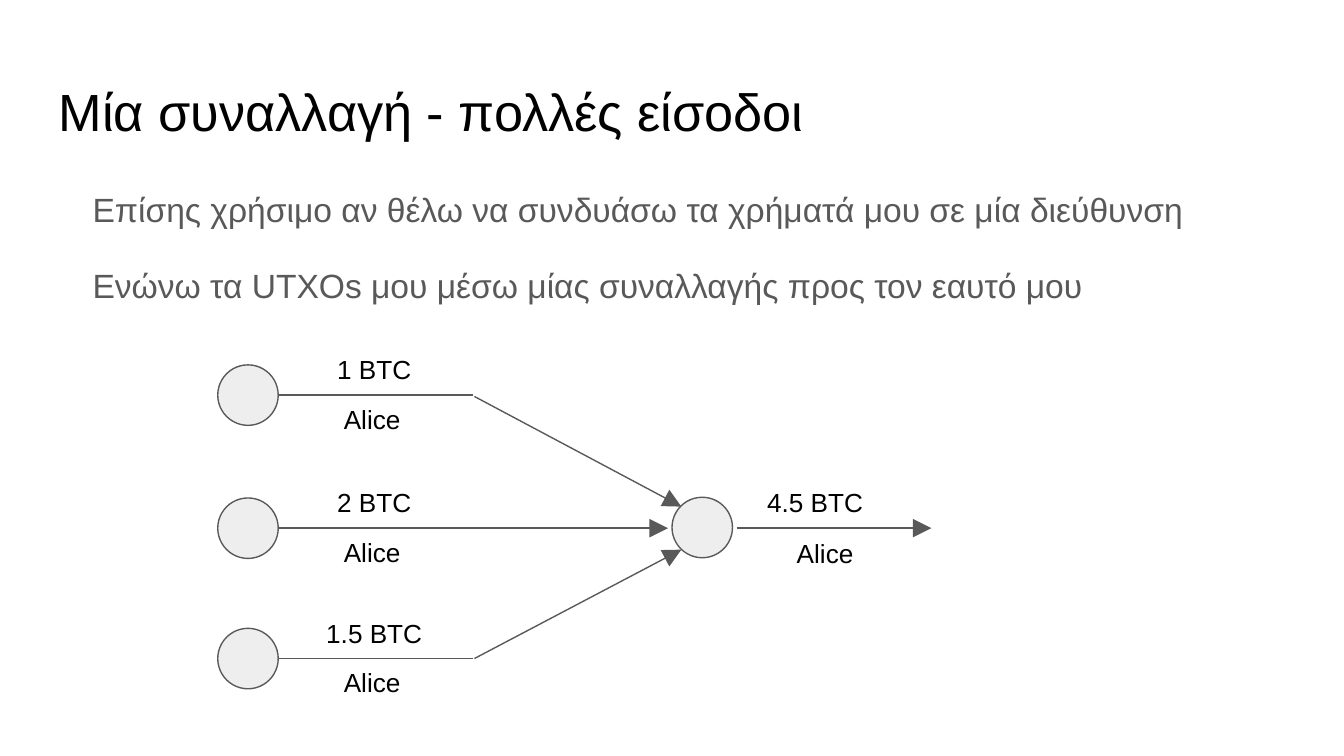
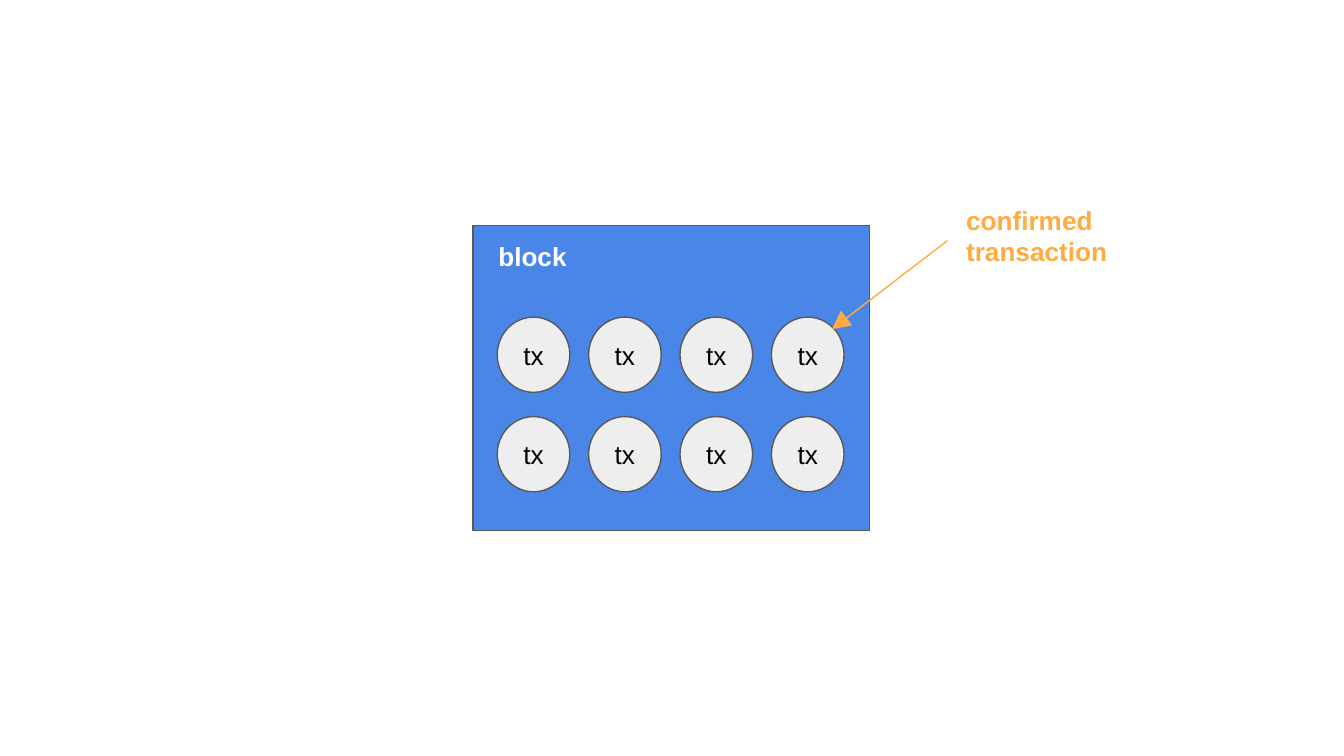
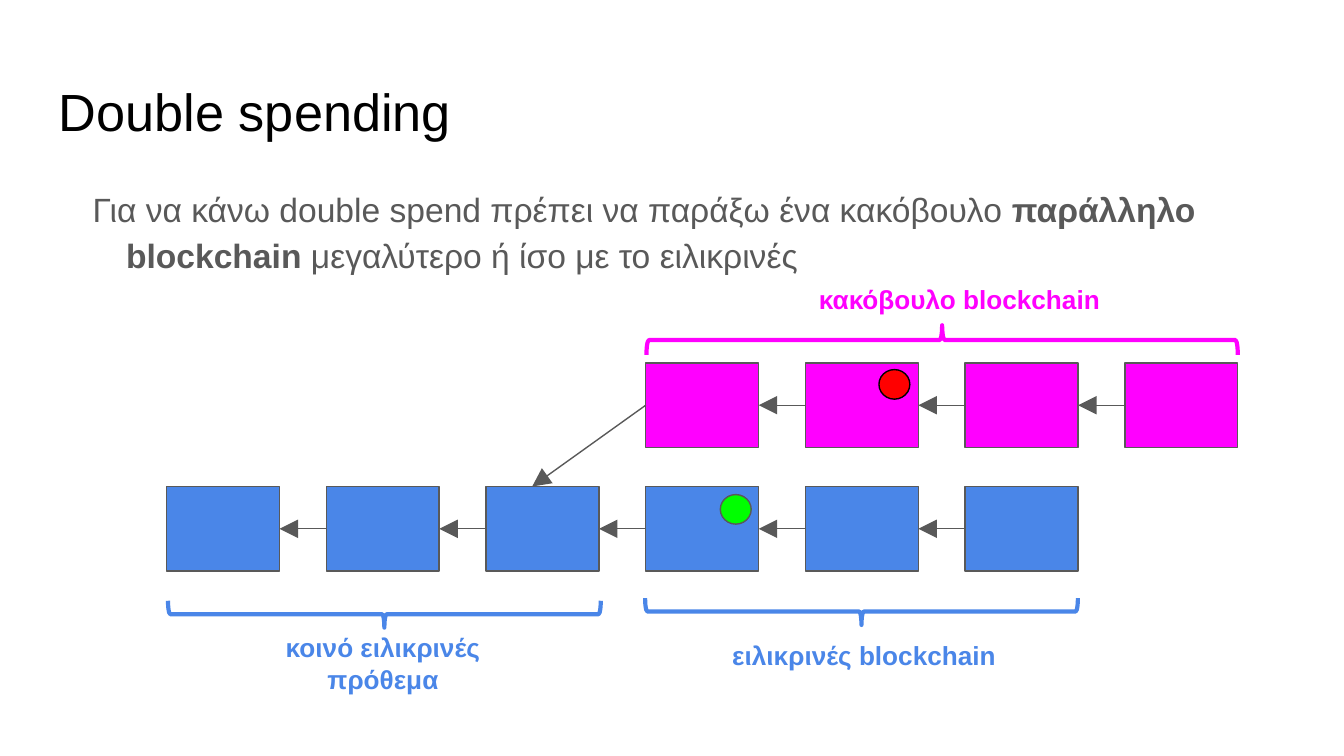
from dataclasses import dataclass

from lxml import etree
from pptx import Presentation
from pptx import util as u
from pptx.dml.color import RGBColor
from pptx.enum import shapes, text
from pptx.oxml.ns import qn

LEFT, RIGHT = 1, 3


@dataclass(frozen=True)
class Theme:
    font: str = "Arial"
    title_size: int = 28
    body_size: int = 18
    label_size: int = 14
    thin: float = 0.75
    thick: float = 2.25
    black: str = "000000"
    white: str = "FFFFFF"
    gray: str = "595959"
    light: str = "EEEEEE"
    blue: str = "4A86E8"
    orange: str = "FFAB40"
    magenta: str = "FF00FF"
    green: str = "00FF00"
    red: str = "FF0000"


class Deck:
    def __init__(self, theme):
        self.theme = theme
        self.presentation = Presentation()
        self.presentation.slide_width = u.Inches(10)
        self.presentation.slide_height = u.Inches(10 * 9 / 16)
        self.slide = None

    def new_slide(self):
        self.slide = self.presentation.slides.add_slide(self.presentation.slide_layouts[6])

    def set_margins(self, frame):
        frame.word_wrap = True
        frame.margin_left = frame.margin_right = u.Inches(0.1)
        frame.margin_top = frame.margin_bottom = u.Inches(0.1)

    def set_font(self, font, size, color, bold=None):
        font.name = self.theme.font
        font.size = u.Pt(size)
        font.bold = bold
        font.color.rgb = RGBColor.from_string(color)

    def textbox(self, left, top, width, height):
        box = self.slide.shapes.add_textbox(*map(u.Inches, (left, top, width, height)))
        self.set_margins(box.text_frame)
        return box.text_frame

    def title(self, words):
        paragraph = self.textbox(0.34, 0.49, 9.32, 0.63).paragraphs[0]
        paragraph.text = words
        self.set_font(paragraph.font, self.theme.title_size, self.theme.black)

    def body(self, *paragraphs):
        frame = self.textbox(0.34, 1.26, 9.32, 3.74)
        for index, runs in enumerate(paragraphs):
            paragraph = frame.add_paragraph() if index else frame.paragraphs[0]
            properties = paragraph._p.get_or_add_pPr()
            properties.set("marL", str(u.Inches(0.5)))
            properties.set("indent", str(u.Inches(-0.25)))
            paragraph.line_spacing = 1.15
            paragraph.space_after = u.Pt(16)
            self.set_font(paragraph.font, self.theme.body_size, self.theme.gray)
            for words, bold in runs:
                run = paragraph.add_run()
                run.text = words
                if bold:
                    run.font.bold = True

    def label(self, words, left, top, width, height, color=None, bold=None, centered=False):
        paragraph = self.textbox(left, top, width, height).paragraphs[0]
        paragraph.text = words
        if centered:
            paragraph.alignment = text.PP_ALIGN.CENTER
        self.set_font(paragraph.font, self.theme.label_size, color or self.theme.black, bold)

    def shape(self, kind, left, top, width, height, fill, line=None, words=None):
        shape = self.slide.shapes.add_shape(kind, *map(u.Inches, (left, top, width, height)))
        shape.shadow.inherit = False
        shape.fill.solid()
        shape.fill.fore_color.rgb = RGBColor.from_string(fill)
        shape.line.color.rgb = RGBColor.from_string(line or self.theme.gray)
        shape.line.width = u.Pt(self.theme.thin)
        if words:
            self.set_margins(shape.text_frame)
            shape.text_frame.vertical_anchor = text.MSO_ANCHOR.MIDDLE
            paragraph = shape.text_frame.paragraphs[0]
            paragraph.text = words
            paragraph.alignment = text.PP_ALIGN.CENTER
            self.set_font(paragraph.font, self.theme.label_size, self.theme.black)
        return shape

    def rectangle(self, *place, fill):
        return self.shape(shapes.MSO_SHAPE.RECTANGLE, *place, fill)

    def ellipse(self, *place, fill=None, line=None, words=None):
        return self.shape(shapes.MSO_SHAPE.OVAL, *place, fill or self.theme.light, line, words)

    def brace(self, left, top, width, height, rotation, color):
        brace = self.shape(shapes.MSO_SHAPE.LEFT_BRACE, left, top, width, height, color, color)
        brace.fill.background()
        brace.line.width = u.Pt(self.theme.thick)
        brace.rotation = rotation
        brace.adjustments[0] = 0.083
        brace.adjustments[1] = 0.5

    def line(self, x1=0, y1=0, x2=0, y2=0, color=None, arrow=True):
        connector = self.slide.shapes.add_connector(
            shapes.MSO_CONNECTOR.STRAIGHT, *map(u.Inches, (x1, y1, x2, y2)))
        connector.line.color.rgb = RGBColor.from_string(color or self.theme.gray)
        connector.line.width = u.Pt(self.theme.thin)
        if arrow:
            etree.SubElement(connector.line._get_or_add_ln(), qn("a:tailEnd"),
                             type="triangle", w="lg", len="lg")
        etree.SubElement(connector._element.spPr, qn("a:effectLst"))
        return connector

    def link(self, source, source_side, target, target_side):
        connector = self.line()
        connector.begin_connect(source, source_side)
        connector.end_connect(target, target_side)

    def chain(self, first_column, count, top, fill):
        pitch = (8.37 - 1.24) / 6
        blocks = [self.rectangle(1.24 + pitch * column, top, 0.84, 0.63, fill=fill)
                  for column in range(first_column, first_column + count)]
        for previous, block in zip(blocks, blocks[1:]):
            self.link(block, LEFT, previous, RIGHT)
        return blocks


def many_inputs(deck):
    deck.new_slide()
    deck.title("Μία συναλλαγή - πολλές είσοδοι")
    deck.body(
        [("Επίσης χρήσιμο αν θέλω να συνδυάσω τα χρήματά μου σε μία διεύθυνση", False)],
        [("Ενώνω τα UTXOs μου μέσω μίας συναλλαγής προς τον εαυτό μου", False)],
    )
    size = 0.45
    for amount, level in (("1 BTC", 2.94), ("2 BTC", 3.93), ("1.5 BTC", 4.9)):
        deck.label(amount, 2.1, level - 0.41, 1.37, size, centered=True)
        deck.line(2.07, level, 3.52, level, arrow=False)
        deck.label("Alice", 2.46, level - 0.04, 0.76, size)
        deck.ellipse(1.62, level - size / 2, size, size)
    deck.ellipse(5, 3.7, size, size)
    deck.line(3.53, 2.95, 5.07, 3.77)
    deck.line(3.51, 3.93, 4.97, 3.93)
    deck.line(3.53, 4.9, 5.07, 4.09)
    deck.label("4.5 BTC", 5.38, 3.52, 1.37, size, centered=True)
    deck.label("Alice", 5.83, 3.9, 0.76, size)
    deck.line(5.48, 3.93, 6.93, 3.93)


def block_of_transactions(deck):
    theme = deck.theme
    deck.new_slide()
    deck.rectangle(3.52, 1.68, 2.95, 2.27, fill=theme.blue)
    deck.label("block", 3.61, 1.69, 2.46, 0.42, theme.white, True)
    for column in range(4):
        for row in range(2):
            deck.ellipse(3.7 + 0.68 * column, 2.36 + 0.74 * row, 0.54, 0.56, words="tx")
    deck.line(7.05, 1.79, 6.19, 2.45, theme.orange)
    deck.label("confirmed transaction", 7.09, 1.42, 2.17, 0.48, theme.orange, True)


def double_spending(deck):
    theme = deck.theme
    deck.new_slide()
    deck.title("Double spending")
    deck.body([
        ("Για να κάνω double spend πρέπει να παράξω ένα κακόβουλο ", False),
        ("παράλληλο blockchain", True),
        (" μεγαλύτερο ή ίσο με το ειλικρινές", False),
    ])
    deck.chain(0, 6, 3.62, theme.blue)
    malicious = deck.chain(3, 4, 2.7, theme.magenta)
    fork = deck.line(4.81, 3.01, 3.96, 3.62)
    fork.begin_connect(malicious[0], LEFT)
    deck.brace(6.31, 2.94, 0.2, 3.22, 270, theme.blue)
    deck.brace(6.9, 0.33, 0.22, 4.4, 90, theme.magenta)
    deck.brace(2.76, 2.96, 0.2, 3.22, 270, theme.blue)
    for words, left, top, color in (
        ("ειλικρινές blockchain", 5.28, 4.66, theme.blue),
        ("κακόβουλο blockchain", 5.99, 2.01, theme.magenta),
        ("κοινό ειλικρινές πρόθεμα", 1.7, 4.6, theme.blue),
    ):
        deck.label(words, left, top, 2.3, 0.36, color, True, centered=True)
    deck.ellipse(5.36, 3.68, 0.23, 0.22, fill=theme.green)
    deck.ellipse(6.54, 2.75, 0.23, 0.22, fill=theme.red, line=theme.black)


def main():
    deck = Deck(Theme())
    many_inputs(deck)
    block_of_transactions(deck)
    double_spending(deck)
    deck.presentation.save("out.pptx")


if __name__ == "__main__":
    main()
